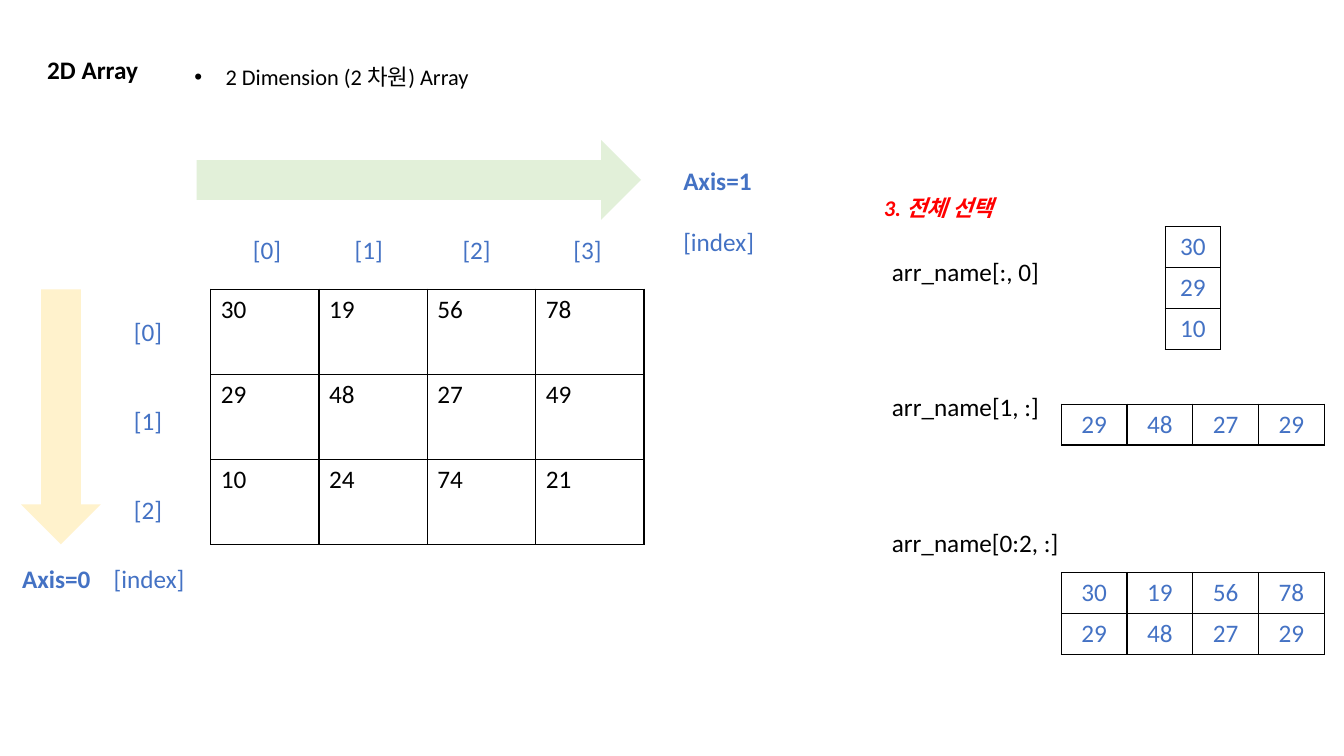
from lxml.etree import SubElement
from pptx import Presentation
from pptx.dml.color import RGBColor
from pptx.enum.shapes import MSO_SHAPE
from pptx.enum.text import MSO_AUTO_SIZE, PP_ALIGN
from pptx.oxml.ns import qn
from pptx.util import Inches, Pt

UNIT = Inches(1 / 6)  # the slide is a square grid of 80 columns by 45 rows
COLUMNS, ROWS = 80, 45
FONT = "Calibri"
COLORS = {
    "black": "000000",
    "blue": "4472C4",
    "red": "FF0000",
    "cream": "FFF2CC",
    "mint": "E2F0D9",
}
LABEL_HEIGHT = 2.4

ARRAY = [[30, 19, 56, 78], [29, 48, 27, 49], [10, 24, 74, 21]]
FIRST_COLUMN = [[row[0]] for row in ARRAY]
SECOND_ROW = [29, 48, 27, 29]
FIRST_TWO_ROWS = [ARRAY[0], SECOND_ROW]

COLUMN_LABEL_LEFTS = [14.46, 20.52, 26.94, 33.54]
SELECTIONS = ["arr_name[:, 0]", "arr_name[1, :]", "arr_name[0:2, :]"]
SELECTION_WIDTHS = [10.08, 10.08, 11.22]


def grid(*lengths):
    """Turn lengths in grid units into slide lengths."""
    return [round(UNIT * length) for length in lengths]


def add_span(para, text, color, size=18, bold=False, italic=False):
    span = para.add_run()
    span.text = text
    font = span.font
    font.name, font.size = FONT, Pt(size)
    font.bold, font.italic = bold, italic
    font.color.rgb = RGBColor.from_string(COLORS[color])


def add_label(slide, text, left, top, width, height=LABEL_HEIGHT,
              color="black", wrap=False, **style):
    box = slide.shapes.add_textbox(*grid(left, top, width, height))
    frame = box.text_frame
    frame.word_wrap = wrap
    frame.auto_size = MSO_AUTO_SIZE.SHAPE_TO_FIT_TEXT
    para = frame.paragraphs[0]
    add_span(para, text, color, **style)
    return para


def add_bullet(para):
    properties = para._p.get_or_add_pPr()
    indent = Inches(0.31)
    properties.set("marL", str(indent))
    properties.set("indent", str(-indent))
    SubElement(properties, qn("a:buFont"), typeface="Arial")
    SubElement(properties, qn("a:buChar"), char="•")


def add_arrow(slide, kind, left, top, width, height, color):
    arrow = slide.shapes.add_shape(kind, *grid(left, top, width, height))
    arrow.shadow.inherit = False
    arrow.fill.solid()
    arrow.fill.fore_color.rgb = RGBColor.from_string(COLORS[color])
    arrow.line.fill.background()


def add_borders(cell):
    properties = cell._tc.get_or_add_tcPr()
    for side in ("lnL", "lnR", "lnT", "lnB"):
        line = SubElement(properties, qn(f"a:{side}"), w=str(Pt(1)))
        fill = SubElement(line, qn("a:solidFill"))
        SubElement(fill, qn("a:srgbClr"), val=COLORS["black"])


def add_array(slide, values, left, top, cell_width, cell_height,
              color="blue", align=PP_ALIGN.CENTER):
    """Draw a list of rows as a plain bordered table."""
    rows, columns = len(values), len(values[0])
    table = slide.shapes.add_table(
        rows, columns,
        *grid(left, top, columns * cell_width, rows * cell_height)).table
    table.first_row = table.horz_banding = False
    for row, numbers in enumerate(values):
        for column, number in enumerate(numbers):
            cell = table.cell(row, column)
            add_borders(cell)
            cell.fill.background()
            para = cell.text_frame.paragraphs[0]
            para.alignment = align
            add_span(para, str(number), color)


def add_axes(slide):
    add_arrow(slide, MSO_SHAPE.DOWN_ARROW, 1.26, 17.22, 4.74, 15.18, "cream")
    add_arrow(slide, MSO_SHAPE.RIGHT_ARROW, 11.7, 8.34, 26.46, 4.74, "mint")
    for text, left, top in [("Axis=0", 0.72, 33.24), ("Axis=1", 40.08, 9.54)]:
        add_label(slide, text, left, top, 5.34, color="blue", bold=True)
    for left, top in [(6.18, 33.24), (40.08, 13.2)]:
        add_label(slide, "[index]", left, top, 5.46, color="blue")


def add_indexed_array(slide):
    add_array(slide, ARRAY, 12.54, 17.22, 6.45, 5.06, "black", PP_ALIGN.LEFT)
    for index, left in enumerate(COLUMN_LABEL_LEFTS):
        add_label(slide, f"[{index}]", left, 13.68, 2.88, color="blue")
    for index in range(len(ARRAY)):
        add_label(slide, f"[{index}]", 7.38, 18.54 + 5.28 * index, 2.88,
                  color="blue")


def add_selections(slide):
    add_label(slide, "3. 전체 선택", 52.02, 11.28, 8.22, 2.22, "red",
              size=16, bold=True, italic=True)
    for index, (text, width) in enumerate(zip(SELECTIONS, SELECTION_WIDTHS)):
        add_label(slide, text, 52.5, 14.94 + 8.07 * index, width)
    add_array(slide, FIRST_COLUMN, 69.36, 13.5, 3.3, 2.43)
    add_array(slide, [SECOND_ROW], 63.18, 24.06, 3.91, 2.43)
    add_array(slide, FIRST_TWO_ROWS, 63.18, 34.08, 3.91, 2.43)


def main():
    deck = Presentation()
    deck.slide_width, deck.slide_height = grid(COLUMNS, ROWS)
    slide = deck.slides.add_slide(deck.slide_layouts[6])
    add_label(slide, "2D Array", 2.22, 2.94, 6.66, bold=True)
    add_bullet(add_label(slide, "2 Dimension (2 차원) Array", 10.98, 3.48,
                         17.94, 3.84, wrap=True, size=16))
    add_indexed_array(slide)
    add_axes(slide)
    add_selections(slide)
    deck.save("out.pptx")


if __name__ == "__main__":
    main()
